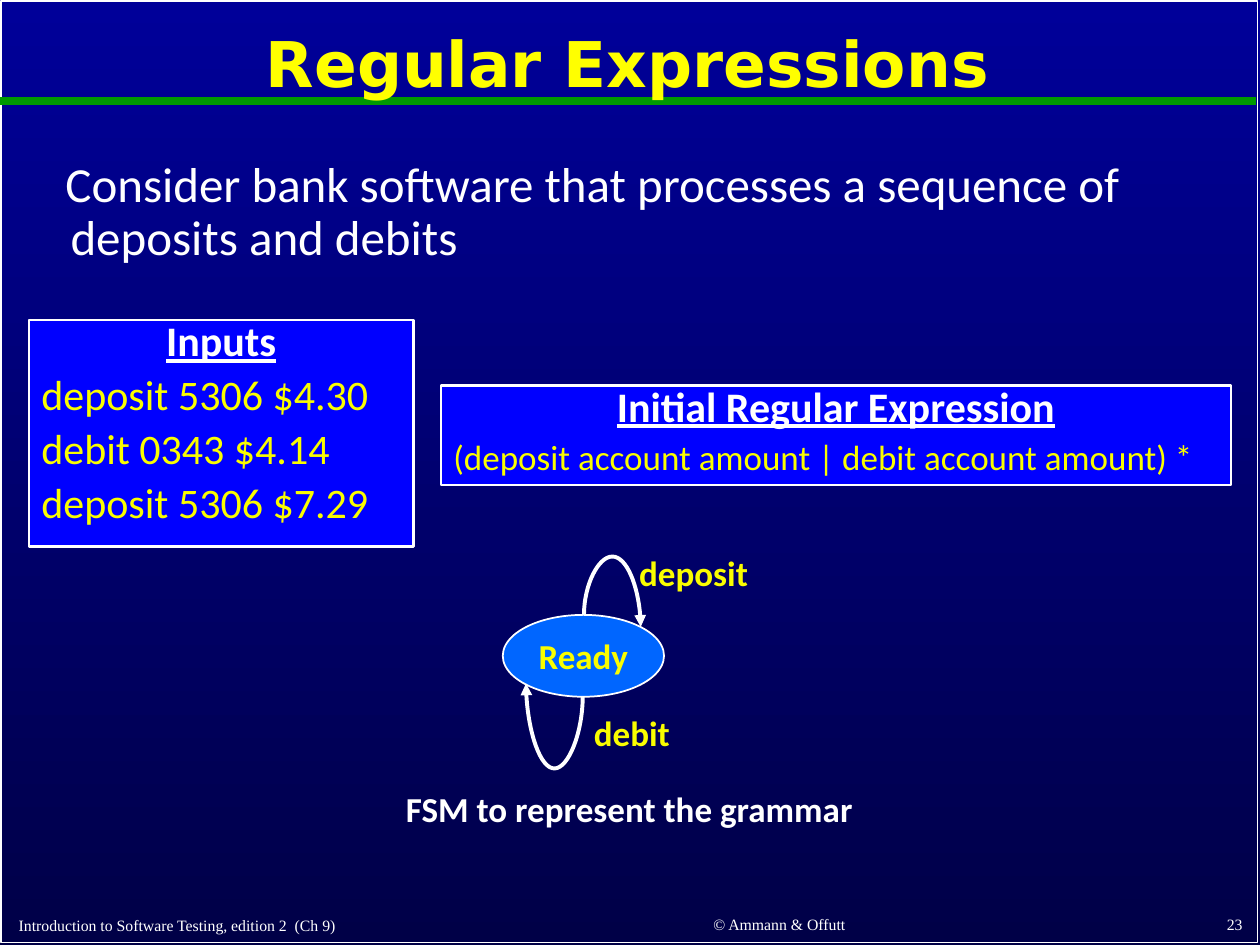
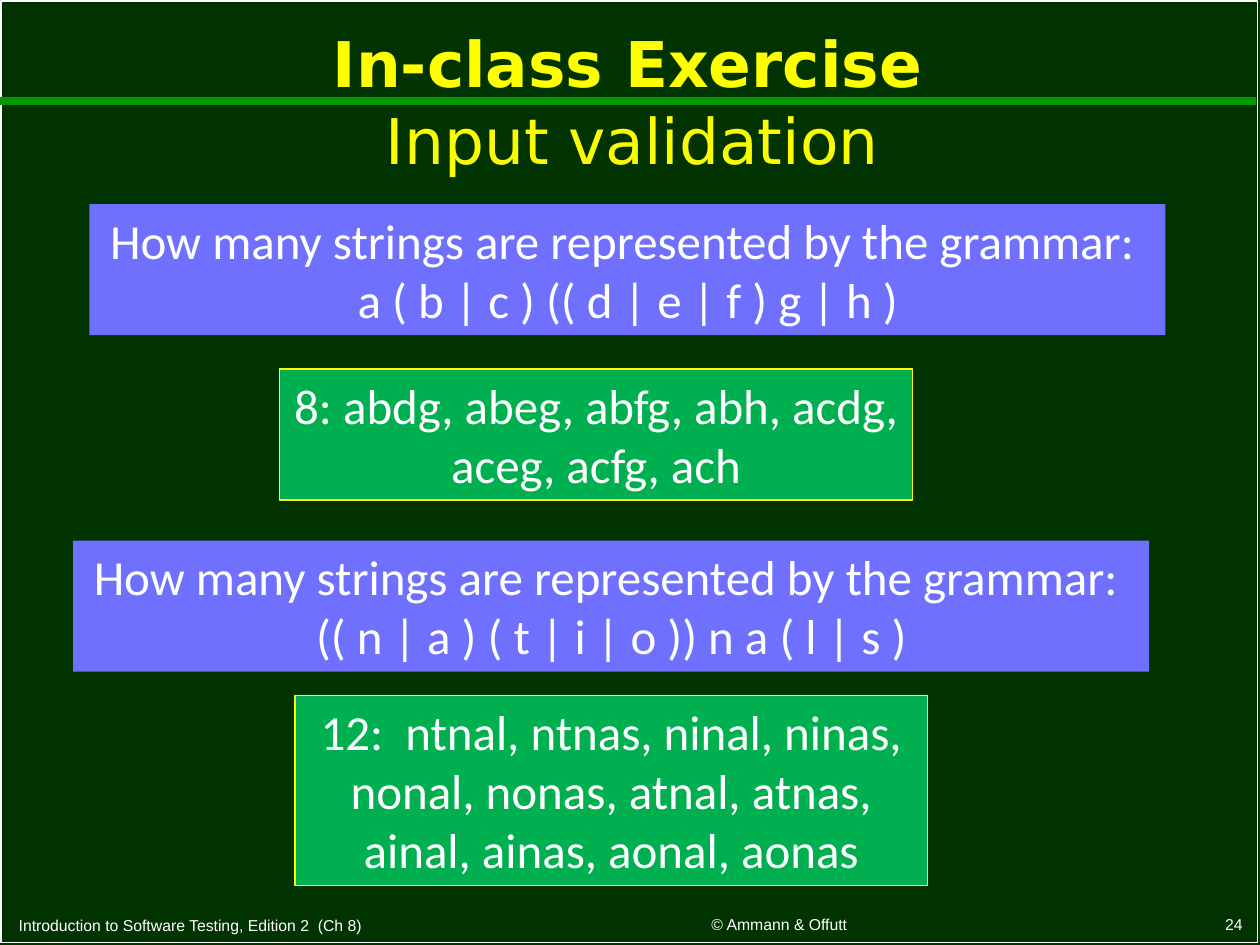
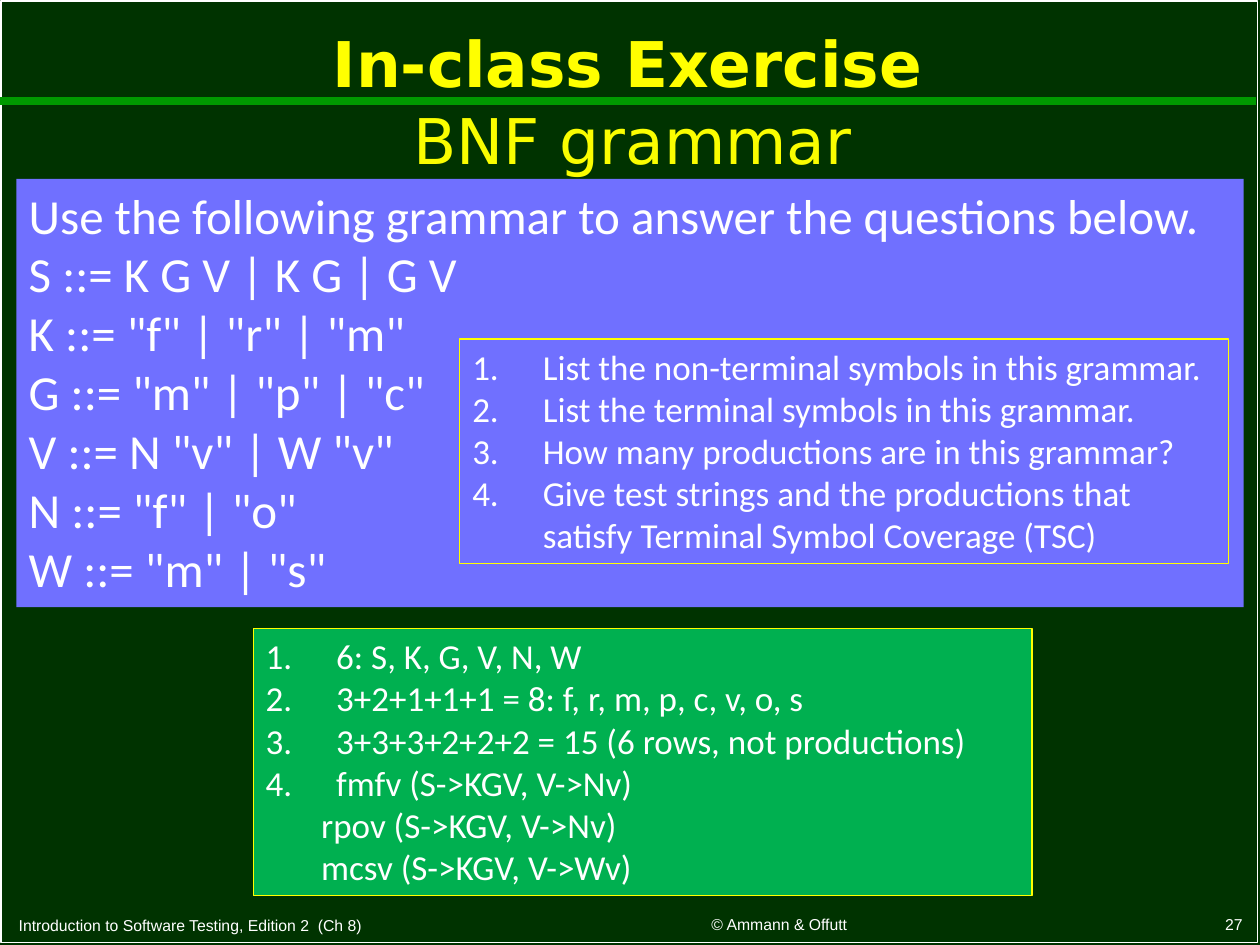
from lxml import etree
from pptx import Presentation
from pptx.dml.color import RGBColor
from pptx.enum.shapes import MSO_CONNECTOR, MSO_SHAPE
from pptx.enum.text import MSO_ANCHOR, MSO_AUTO_SIZE, PP_ALIGN
from pptx.oxml.ns import qn
from pptx.util import Inches, Pt

LEFT, CENTER, RIGHT = PP_ALIGN.LEFT, PP_ALIGN.CENTER, PP_ALIGN.RIGHT
TOP, MIDDLE, BOTTOM = MSO_ANCHOR.TOP, MSO_ANCHOR.MIDDLE, MSO_ANCHOR.BOTTOM
NO_AUTOFIT = MSO_AUTO_SIZE.NONE
RECTANGLE, OVAL = MSO_SHAPE.RECTANGLE, MSO_SHAPE.OVAL
STRAIGHT, CURVE = MSO_CONNECTOR.STRAIGHT, MSO_CONNECTOR.CURVE

WHITE, YELLOW, SOFT_YELLOW = "FFFFFF", "FFFF00", "FAFD00"
NAVY, DARK_NAVY, DARK_GREEN = "000099", "000047", "003300"
BLUE, STATE_BLUE, PERIWINKLE = "0000FF", "0066FF", "7070FF"
RULE_GREEN, ANSWER_GREEN = "009900", "00B050"
HEADING_FONT, TEXT_FONT = "DejaVu Sans", "Calibri"

TITLE_BOX = (0.01, 0.11, 9.94, 0.84)
SUBTITLE_BOX = (2.92, 0.76, 4.2, 0.71)
QUESTION_WIDTH, ANSWER_WIDTH = 8.54, 5.02


def color(hex_code):
    return RGBColor.from_string(hex_code)


def inches(box):
    return [Inches(length) for length in box]


def write(frame, text, size=20, ink=WHITE, font=TEXT_FONT, bold=False, underline=False,
          align=LEFT, spacing=1.0, gap=0, margin=0, indent=0, numbered=False):
    for line in text.split("\n"):
        first = not frame.text
        paragraph = frame.paragraphs[0] if first else frame.add_paragraph()
        paragraph.alignment = align
        paragraph.line_spacing = spacing
        paragraph.space_before = Pt(0 if first else gap)
        properties = paragraph._p.get_or_add_pPr()
        properties.set("marL", str(Inches(margin)))
        properties.set("indent", str(Inches(indent)))
        if numbered:
            etree.SubElement(properties, qn("a:buAutoNum"), type="arabicPeriod")
        else:
            etree.SubElement(properties, qn("a:buNone"))
        for index, part in enumerate(line.split("\v")):
            if index:
                paragraph.add_line_break()
            run = paragraph.add_run()
            run.text = part
            run.font.size = Pt(size)
            run.font.name = font
            run.font.bold = bold
            run.font.underline = underline
            run.font.color.rgb = color(ink)


def set_frame(frame, anchor=TOP, wrap=True):
    frame.auto_size = NO_AUTOFIT
    frame.vertical_anchor = anchor
    frame.word_wrap = wrap
    return frame


def panel(slide, box, fill=None, border=None, width=0.75, outline=RECTANGLE,
          anchor=TOP, wrap=True):
    shape = slide.shapes.add_shape(outline, *inches(box))
    shape.shadow.inherit = False
    if fill:
        shape.fill.solid()
        shape.fill.fore_color.rgb = color(fill)
    else:
        shape.fill.background()
    if border:
        shape.line.color.rgb = color(border)
        shape.line.width = Pt(width)
    else:
        shape.line.fill.background()
    set_frame(shape.text_frame, anchor, wrap)
    return shape


def label(slide, box, text, anchor=TOP, **text_format):
    frame = slide.shapes.add_textbox(*inches(box)).text_frame
    write(set_frame(frame, anchor), text, **text_format)


def connect(slide, kind, start, end, ink, width):
    line = slide.shapes.add_connector(kind, *inches(start + end))
    line.line.color.rgb = color(ink)
    line.line.width = Pt(width)
    etree.SubElement(line.element.spPr, qn("a:effectLst"))
    return line


def fill_placeholder(placeholder, box, text, anchor=TOP, **text_format):
    placeholder.left, placeholder.top, placeholder.width, placeholder.height = inches(box)
    write(set_frame(placeholder.text_frame, anchor), text, spacing=0.9, **text_format)


def decorate_master(presentation, slide):
    border = panel(slide, (0.01, 0.01, 9.97, 7.47), border=WHITE, width=1)
    rule = connect(slide, STRAIGHT, (0, 0.8), (9.97, 0.8), RULE_GREEN, 4.5)
    for part in (border, rule):
        presentation.slide_master.shapes.element.append(part.element)


def add_heading_and_footer(slide, title, source, number, footer_font):
    fill_placeholder(slide.shapes.title, TITLE_BOX, title, MIDDLE, size=36, ink=YELLOW,
                     font=HEADING_FONT, bold=True, align=CENTER)
    footers = [
        ((0.05, 7.19, 4.35, 0.28), source, LEFT),
        ((4.6, 7.18, 3.17, 0.28), "© Ammann & Offutt", CENTER),
        ((7.88, 7.17, 2.08, 0.29), number, RIGHT),
    ]
    for box, text, align in footers:
        label(slide, box, text, BOTTOM, size=9, font=footer_font, align=align)


def headed_panel(slide, box, heading, lines, size):
    frame = panel(slide, box, BLUE, WHITE, 1.5).text_frame
    write(frame, heading, size=24, bold=True, underline=True, align=CENTER, spacing=0.75)
    write(frame, lines, size=size, ink=SOFT_YELLOW, spacing=0.75, gap=9.2)


def self_loop(slide, left, top, rotation, bulge):
    width, height = 0.1, 0.45
    loop = connect(slide, CURVE, (left, top), (left + width, top + height), WHITE, 2.25)
    properties = loop.element.spPr
    transform = properties.find(qn("a:xfrm"))
    transform.set("rot", str(rotation * 60000))
    transform.set("flipV", "1")
    adjustments = properties.find(qn("a:prstGeom")).find(qn("a:avLst"))
    etree.SubElement(adjustments, qn("a:gd"), name="adj1", fmla=f"val {bulge}")
    etree.SubElement(properties.find(qn("a:ln")), qn("a:tailEnd"), type="triangle")


def state_machine(slide, box):
    left, top, width, height = box
    ready = panel(slide, (left + 1.05, top + 0.55, 1.28, 0.65), STATE_BLUE, WHITE, 1,
                  OVAL, MIDDLE, wrap=False)
    write(ready.text_frame, "Ready", ink=SOFT_YELLOW, bold=True, align=CENTER)
    self_loop(slide, left + 1.87, top + 0.37, 90, -458200)
    self_loop(slide, left + 1.41, top + 0.92, 270, -574500)
    captions = [
        ((left + 1.97, top, 1.19, 0.44), "deposit", SOFT_YELLOW),
        ((left + 1.58, top + 1.27, 0.99, 0.44), "debit", SOFT_YELLOW),
        ((left, top + height - 0.77, width, 0.77), "FSM to represent the grammar", WHITE),
    ]
    for caption_box, text, ink in captions:
        label(slide, caption_box, text, ink=ink, bold=True, align=CENTER)


def question_and_answer(slide, question_at, question, answer_at, answer, answer_height):
    asked = panel(slide, (*question_at, QUESTION_WIDTH, 1.04), PERIWINKLE)
    write(asked.text_frame, question, size=28, align=CENTER)
    answered = panel(slide, (*answer_at, ANSWER_WIDTH, answer_height), ANSWER_GREEN, YELLOW)
    write(answered.text_frame, answer, size=28, align=CENTER)


def numbered_panel(slide, box, fill, items, continuation=""):
    frame = panel(slide, box, fill, YELLOW).text_frame
    write(frame, items, margin=0.56, indent=-0.56, numbered=True)
    if continuation:
        write(frame, continuation, margin=0.44)


def regular_expressions_slide(slide):
    background = slide.background.fill
    background.gradient()
    background.gradient_angle = 270
    for stop, ink in zip(background.gradient_stops, (NAVY, DARK_NAVY)):
        stop.color.rgb = color(ink)
    add_heading_and_footer(slide, "Regular Expressions",
                           "Introduction to Software Testing, edition 2  (Ch 9)",
                           "23", "Times New Roman")
    fill_placeholder(slide.placeholders[1], (0.15, 1.22, 9.7, 0.98),
                     "Consider bank software that processes a sequence of deposits and debits",
                     size=28, margin=0.31, indent=-0.04)
    headed_panel(slide, (0.23, 2.54, 3.05, 1.8), "Inputs",
                 "deposit 5306 $4.30\ndebit 0343 $4.14\ndeposit 5306 $7.29", 24)
    headed_panel(slide, (3.5, 3.06, 6.27, 0.79), "Initial Regular Expression",
                 "(deposit account amount | debit account amount) *", 20)
    state_machine(slide, (2.94, 4.33, 4.11, 2.64))


def start_exercise(slide, subtitle, number):
    slide.background.fill.solid()
    slide.background.fill.fore_color.rgb = color(DARK_GREEN)
    add_heading_and_footer(slide, "In-class Exercise",
                           "Introduction to Software Testing, Edition 2  (Ch 8)",
                           number, "Arial")
    label(slide, SUBTITLE_BOX, subtitle, size=36, ink=SOFT_YELLOW, font=HEADING_FONT,
          align=CENTER)


def input_validation_slide(slide):
    start_exercise(slide, "Input validation", "24")
    prompt = "How many strings are represented by the grammar: \v"
    question_and_answer(slide, (0.71, 1.62), prompt + "a ( b | c ) (( d | e | f ) g | h )",
                        (2.22, 2.93), "8: abdg, abeg, abfg, abh, acdg, aceg, acfg, ach", 1.04)
    question_and_answer(slide, (0.58, 4.29), prompt + "(( n | a ) ( t | i | o )) n a ( l | s )",
                        (2.34, 5.52),
                        "12:  ntnal, ntnas, ninal, ninas, nonal, nonas, atnal, atnas, "
                        "ainal, ainas, aonal, aonas", 1.51)


def bnf_grammar_slide(slide):
    start_exercise(slide, "BNF grammar", "27")
    grammar = "\n".join([
        "Use the following grammar to answer the questions below.",
        "S ::= K G V | K G | G V",
        'K ::= "f" | "r" | "m"',
        'G ::= "m" | "p" | "c"',
        'V ::= N "v" | W "v"',
        'N ::= "f" | "o"',
        'W ::= "m" | "s"',
    ])
    questions = "\n".join([
        "List the non-terminal symbols in this grammar.",
        "List the terminal symbols in this grammar.",
        "How many productions are in this grammar?",
        "Give test strings and the productions that satisfy Terminal Symbol Coverage (TSC)",
    ])
    answers = "\n".join([
        "6: S, K, G, V, N, W",
        "3+2+1+1+1 = 8: f, r, m, p, c, v, o, s",
        "3+3+3+2+2+2 = 15 (6 rows, not productions)",
        "fmfv (S->KGV, V->Nv)",
    ])
    write(panel(slide, (0.13, 1.42, 9.74, 3.4), PERIWINKLE).text_frame, grammar, size=28)
    numbered_panel(slide, (3.65, 2.69, 6.1, 1.78), PERIWINKLE, questions)
    numbered_panel(slide, (2.01, 4.99, 6.18, 2.12), ANSWER_GREEN, answers,
                   "rpov (S->KGV, V->Nv)\nmcsv (S->KGV, V->Wv)")


def main():
    presentation = Presentation()
    presentation.slide_width, presentation.slide_height = Inches(10), Inches(7.5)
    title_and_body, title_only = presentation.slide_layouts[1], presentation.slide_layouts[5]
    opening = presentation.slides.add_slide(title_and_body)
    decorate_master(presentation, opening)
    regular_expressions_slide(opening)
    input_validation_slide(presentation.slides.add_slide(title_only))
    bnf_grammar_slide(presentation.slides.add_slide(title_only))
    presentation.save("out.pptx")


if __name__ == "__main__":
    main()
